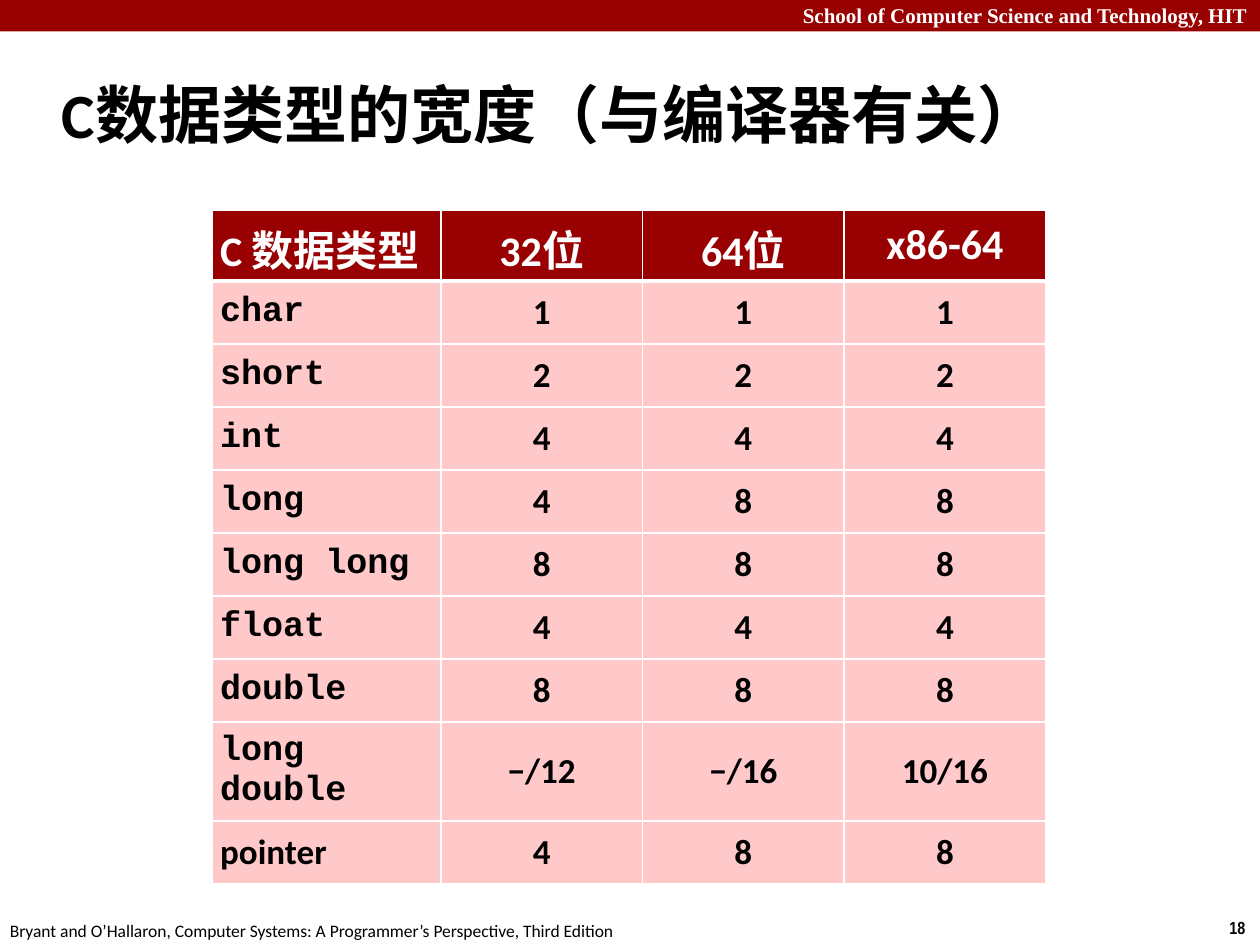
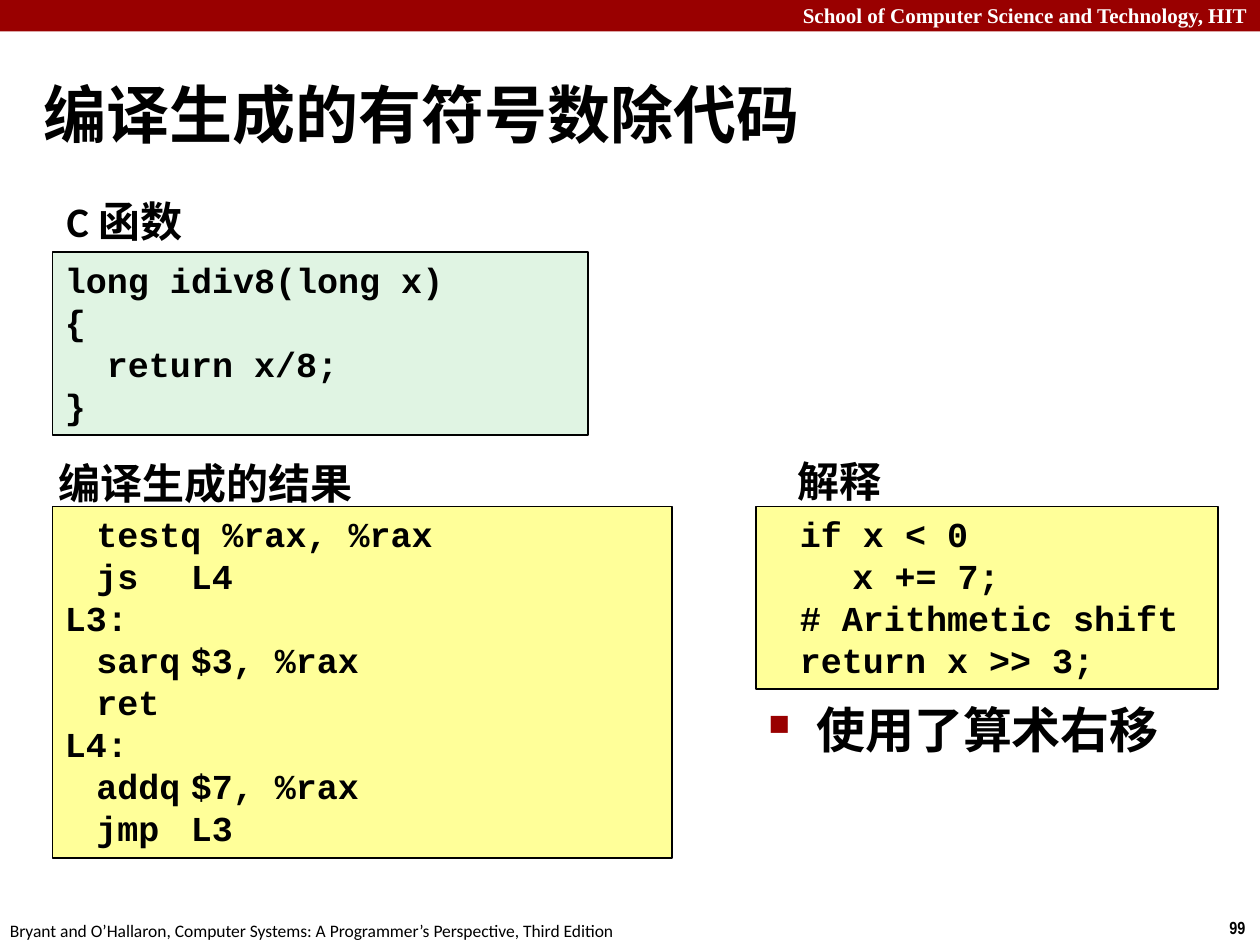
from dataclasses import dataclass, field

from lxml import etree
from pptx import Presentation
from pptx import util as u
from pptx.dml.color import RGBColor
from pptx.enum import lang, shapes, text
from pptx.oxml import ns


@dataclass(frozen=True)
class Theme:
    band: str = "990000"
    header: str = "980002"
    body: str = "FFC8C9"
    source: str = "E0F4E3"
    result: str = "FFFF99"
    ink: str = "000000"
    paper: str = "FFFFFF"
    styles: dict = field(default_factory=lambda: {
        "school": ("Times New Roman", 12, True),
        "page": ("Arial Narrow", 10, True),
        "credit": ("Calibri", 10, False),
        "title": ("Calibri", 36, True),
        "label": ("Calibri", 24, True),
        "bullet": ("Calibri", 28, True),
        "value": ("Calibri", 20, True),
        "code": ("Courier New", 20, True),
    })


THEME = Theme()
COLUMNS, ROWS = 120, 90
WIDTH, HEIGHT = u.Inches(10), u.Inches(7.5)
CENTER, RIGHT = text.PP_ALIGN.CENTER, text.PP_ALIGN.RIGHT
MIDDLE = text.MSO_ANCHOR.MIDDLE
LABEL_INSET = u.Inches(0.05)
CELL_INSET = u.Inches(0.06)

TYPE_WIDTHS = [
    ("C 数据类型", "32位", "64位", "x86-64"),
    ("char", "1", "1", "1"),
    ("short", "2", "2", "2"),
    ("int", "4", "4", "4"),
    ("long", "4", "8", "8"),
    ("long long", "8", "8", "8"),
    ("float", "4", "4", "4"),
    ("double", "8", "8", "8"),
    ("long double", "−/12", "−/16", "10/16"),
    ("pointer", "4", "8", "8"),
]

C_FUNCTION = """long idiv8(long x)
{
  return x/8;
}"""

ASSEMBLY = """\ttestq %rax, %rax
\tjs\tL4
L3:
\tsarq\t$3, %rax
\tret
L4:
\taddq\t$7, %rax
\tjmp\tL3"""

EXPLANATION = """\tif x < 0
    x += 7;
\t# Arithmetic shift
\treturn x >> 3;"""


def across(columns):
    return round(WIDTH * columns / COLUMNS)


def down(rows):
    return round(HEIGHT * rows / ROWS)


def place(left, top, width, height):
    return across(left), down(top), across(width), down(height)


def set_all(target, values):
    for name, value in values.items():
        setattr(target, name, value)


def insets(size):
    return dict.fromkeys(("margin_left", "margin_top", "margin_right", "margin_bottom"), size)


def paint(target, color):
    target.fill.solid()
    target.fill.fore_color.rgb = RGBColor.from_string(color)


def add_child(parent, tag, **attributes):
    return etree.SubElement(parent, ns.qn(tag), attributes)


def write(para, words, style, color=THEME.ink, align=None):
    para.alignment = align
    span = para.add_run()
    span.text = words
    name, size, bold = THEME.styles[style]
    set_all(span.font, {"name": name, "size": u.Pt(size), "bold": bold,
                        "language_id": lang.MSO_LANGUAGE_ID.SIMPLIFIED_CHINESE})
    span.font.color.rgb = RGBColor.from_string(color)


def add_text(page, area, words, style, color=THEME.ink, align=None, **frame):
    box = page.shapes.add_textbox(*place(*area))
    set_all(box.text_frame, {"word_wrap": True, **frame})
    para = box.text_frame.paragraphs[0]
    write(para, words, style, color, align)
    return para


def add_rectangle(page, area, color, outlined):
    box = page.shapes.add_shape(shapes.MSO_SHAPE.RECTANGLE, *place(*area))
    box.shadow.inherit = False
    paint(box, color)
    if outlined:
        box.line.color.rgb = RGBColor.from_string(THEME.ink)
        box.line.width = u.Pt(1)
    else:
        box.line.fill.background()
    return box


def add_code(page, area, code, color):
    frame = add_rectangle(page, area, color, True).text_frame
    set_all(frame, {"word_wrap": True, "vertical_anchor": text.MSO_ANCHOR.TOP})
    for index, line in enumerate(code.splitlines()):
        para = frame.add_paragraph() if index else frame.paragraphs[0]
        if "\t" in line:
            tabs = add_child(para._p.get_or_add_pPr(), "a:tabLst")
            add_child(tabs, "a:tab", pos=str(u.Inches(0.25)), algn="l")
        para.line_spacing = u.Pt(24)
        write(para, line, "code", align=text.PP_ALIGN.LEFT)


def add_label(page, area, words, **options):
    add_text(page, area, words, "label", **insets(LABEL_INSET), **options)


def add_bullet(page, area, words):
    para = add_text(page, area, words, "bullet")
    properties = para._p.get_or_add_pPr()
    indent = u.Inches(0.38)
    properties.set("marL", str(indent))
    properties.set("indent", str(-indent))
    add_child(add_child(properties, "a:buClr"), "a:srgbClr", val=THEME.band)
    add_child(properties, "a:buSzPct", val="60000")
    add_child(properties, "a:buChar", char="■")


def add_borders(cell, top, bottom):
    properties = cell._tc.get_or_add_tcPr()
    for index, (side, points) in enumerate(zip("LRTB", (1, 1, top, bottom))):
        line = etree.Element(ns.qn(f"a:ln{side}"), w=str(u.Pt(points)))
        add_child(add_child(line, "a:solidFill"), "a:srgbClr", val=THEME.paper)
        properties.insert(index, line)


def add_type_table(page, area, widths, heights):
    table = page.shapes.add_table(len(heights), len(widths), *place(*area)).table
    for column, width in zip(table.columns, widths):
        column.width = across(width)
    for row, height in zip(table.rows, heights):
        row.height = down(height)
    for r, values in enumerate(TYPE_WIDTHS):
        for c, value in enumerate(values):
            cell = table.cell(r, c)
            set_all(cell, {**insets(CELL_INSET), "vertical_anchor": MIDDLE})
            paint(cell, THEME.body if r else THEME.header)
            add_borders(cell, 3 if r == 1 else 1, 1 if r else 3)
            is_code = c == 0 and value != "pointer"
            style = "label" if r == 0 else "code" if is_code else "value"
            write(cell.text_frame.paragraphs[0], value, style,
                  THEME.ink if r else THEME.paper, CENTER if c else None)


def add_page(deck, number, title, title_area):
    page = deck.slides.add_slide(deck.slide_layouts[6])
    add_rectangle(page, (0, 0, COLUMNS, 3), THEME.band, False)
    add_text(page, (0, -0.36, COLUMNS, 3.6), "School of Computer Science and Technology, HIT",
             "school", THEME.paper, RIGHT)
    add_text(page, (115.92, 86.76, 4.08, 3.24), str(number), "page", word_wrap=False)
    add_text(page, (-0.24, 87, 61, 3.24),
             "Bryant and O’Hallaron, Computer Systems: A Programmer’s Perspective, Third Edition",
             "credit", word_wrap=False)
    add_text(page, title_area, title, "title", vertical_anchor=MIDDLE)
    return page


def add_types_page(deck):
    page = add_page(deck, 18, "C数据类型的宽度（与编译器有关）", (4.7, 5.75, 115.3, 10))
    add_type_table(page, (20.25, 20, 79.35, 64), [21.75] + [19.2] * 3, [6.75] + [6] * 9)


def add_division_page(deck):
    page = add_page(deck, 99, "编译生成的有符号数除代码", (3, 7, 104, 7.5))
    left, right, lower, short = 5, 72, 48.25, 17.4
    add_code(page, (left, lower, 59, 33.5), ASSEMBLY, THEME.result)
    add_bullet(page, (right, 66, 48, 7), "使用了算术右移")
    add_code(page, (left, 24, 51, short), C_FUNCTION, THEME.source)
    add_code(page, (right, lower, 44, short), EXPLANATION, THEME.result)
    add_label(page, (5.75, 18, 20.25, 6), "C 函数")
    add_label(page, (left, 43, 37, 6), "编译生成的结果")
    add_label(page, (75.25, 42.75, 9.35, 6), "解释", align=CENTER, word_wrap=False)


def main():
    deck = Presentation()
    set_all(deck, {"slide_width": WIDTH, "slide_height": HEIGHT})
    add_types_page(deck)
    add_division_page(deck)
    deck.save("out.pptx")


if __name__ == "__main__":
    main()
